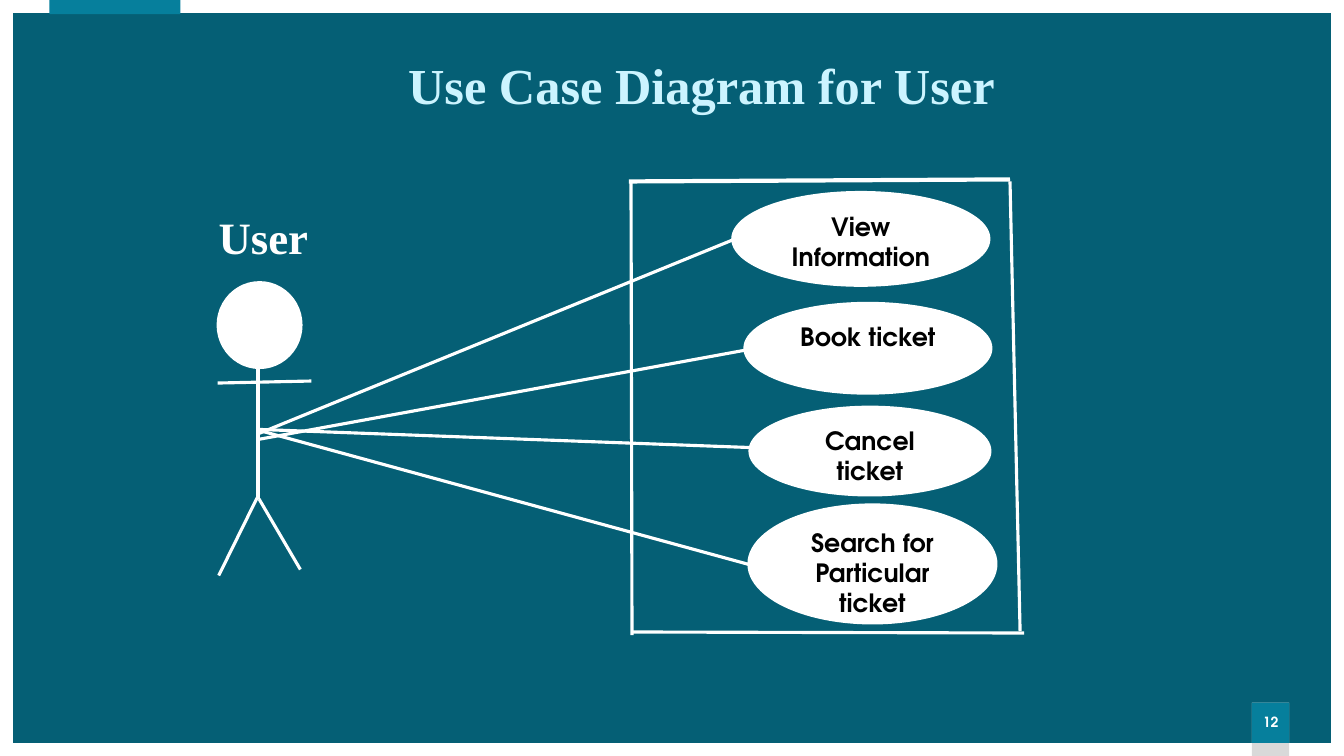
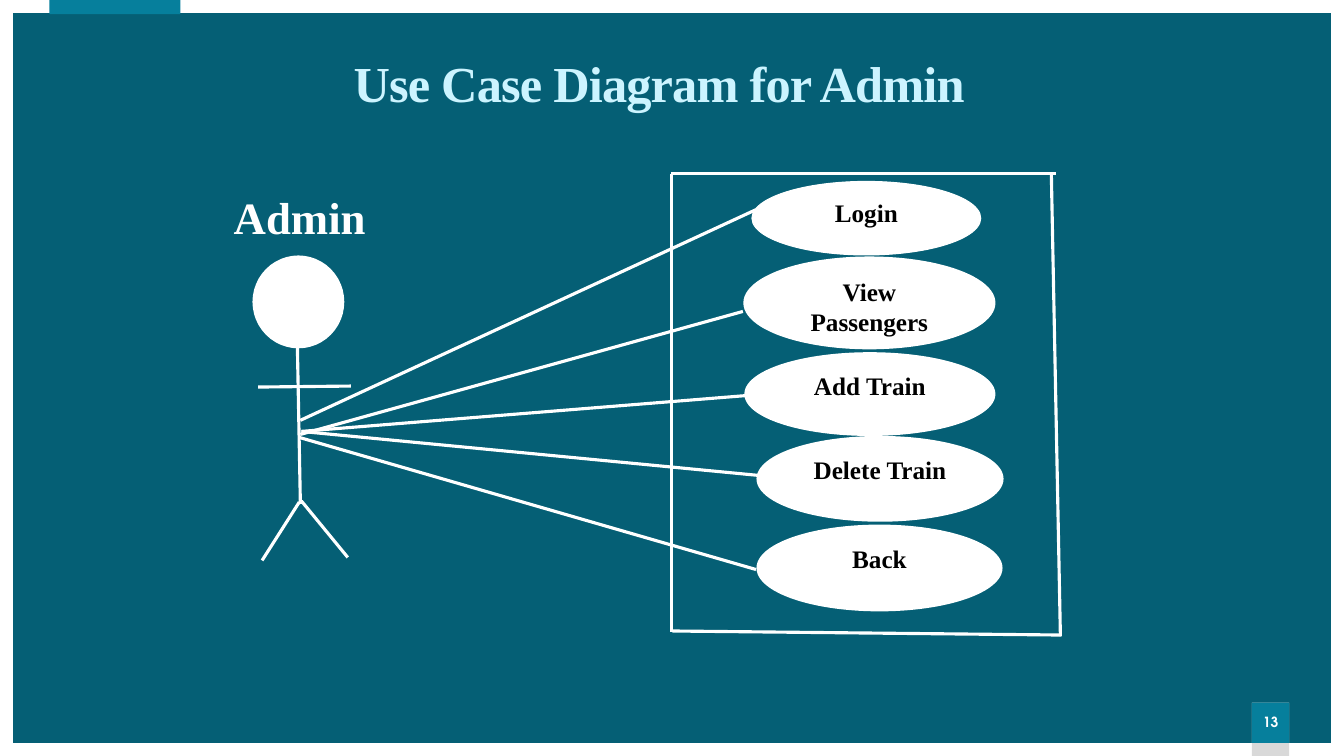
from pptx import Presentation
from pptx.dml.color import RGBColor
from pptx.enum.shapes import MSO_CONNECTOR, MSO_SHAPE
from pptx.enum.text import MSO_ANCHOR, PP_ALIGN
from pptx.oxml.ns import qn
from pptx.util import Inches, Pt

CELL = 0.1
COLUMNS, ROWS = 133.33, 75
COLOURS = {
    "ground": "055F75", "white": "FFFFFF", "accent": "067F9C",
    "grey": "D9D9D9", "title": "CCF4FF", "black": "000000",
}
SERIF, SANS = "Times New Roman", "TeX Gyre Adventor"

DIAGRAMS = [
    {
        "title": "Use Case Diagram for User", "title_box": (39.5, 5.5, 62.3, 6.5),
        "spacing": 0, "number": "12", "font": SANS,
        "actor": "User", "label_box": (20.7, 20.3, 19.8, 6.4),
        "head_box": (21.8, 28.2, 7.9, 8.1), "head_line": 4.5,
        "limbs": [(3.8, 8, 3.8, 21.3), (3.7, 21.2, -0.1, 28.9),
                  (3.9, 21.3, 8, 28.3), (-0.2, 9.8, 9.1, 9.6)],
        "system_at": (62.4, 17.8), "top_line": 3,
        "sides": [(0, 0.2, 37.8, 0), (0.2, 44.9, 39.2, 45),
                  (0.2, 0.2, 0.3, 45.2), (37.8, 0.2, 38.8, 44.8)],
        "cases": [("View Information", (10.3, 1.3, 25.4, 9.2), 2.25),
                  ("Book ticket", (11.5, 12.3, 24.4, 8.9), 2.25),
                  ("Cancel ticket", (12, 22.6, 23.8, 8.7), 2.25),
                  ("Search for Particular ticket", (11.9, 32.3, 24.5, 11.7), 2.25)],
        "links": [(25.7, 43, 72.7, 23.8), (25.6, 43.6, 74.7, 34.6),
                  (25.6, 42.6, 74.4, 44.4), (25.7, 42.7, 74.3, 56)],
    },
    {
        "title": "Use Case Diagram for Admin", "title_box": (34.1, 5.3, 80, 6.5),
        "spacing": -60, "number": "13", "font": SERIF,
        "actor": "Admin", "label_box": (22.2, 18.3, 18.2, 6.4),
        "head_box": (25.2, 25.5, 8.8, 8.9), "head_line": 2.25,
        "limbs": [(4.3, 8.8, 4.6, 24.5), (4.5, 24.3, 0.8, 30.1),
                  (4.7, 24.2, 9.3, 29.8), (0.4, 12.9, 9.6, 12.8)],
        "system_at": (66.6, 17.2), "top_line": 2.25,
        "sides": [(0, 0, 38.2, 0), (0.1, 45.4, 38.7, 45.8),
                  (0, 0.1, 0, 45.5), (37.7, 0.1, 38.6, 45.9)],
        "cases": [("Login", (8, 0.8, 22.7, 7.3), 0.75),
                  ("View Passengers", (7.3, 8.4, 24.7, 8.9), 2.25),
                  ("Add Train", (7.4, 17.9, 24.6, 8), 2.25),
                  ("Delete Train", (8.6, 26.2, 24.2, 8.2), 2.25),
                  ("Back", (8.6, 35, 24.1, 8.3), 2.25)],
        "links": [(29.8, 41.7, 75, 20.8), (29.8, 43.1, 73.7, 30.9),
                  (29.9, 42.8, 74.6, 39.2), (29.9, 42.8, 75.6, 47.2),
                  (29.7, 43.4, 75, 56.5)],
    },
]


def cells(*counts):
    """Turn counts of grid cells into lengths."""
    return [Inches(count * CELL) for count in counts]


def colour(name):
    """Look up a named colour."""
    return RGBColor.from_string(COLOURS[name])


def write(shape, words, font, size, ink, align=PP_ALIGN.LEFT, anchor=MSO_ANCHOR.TOP):
    """Put one bold paragraph into a shape and return it."""
    frame = shape.text_frame
    frame.word_wrap = True
    frame.vertical_anchor = anchor
    para = frame.paragraphs[0]
    para.text = words
    para.alignment = align
    para.font.name, para.font.size, para.font.bold = font, Pt(size), True
    para.font.color.rgb = colour(ink)
    return para


def add_block(page, kind, box, fill, line=None):
    """Draw a filled preset shape, outlined in its own colour if a width is given."""
    block = page.shapes.add_shape(kind, *cells(*box))
    block.shadow.inherit = False
    block.fill.solid()
    block.fill.fore_color.rgb = colour(fill)
    if line:
        block.line.color.rgb = colour(fill)
        block.line.width = Pt(line)
    else:
        block.line.fill.background()
    return block


def add_line(page, ends, origin=(0, 0), width=2.25):
    """Draw a white line whose ends are counted from the origin."""
    left, top = origin
    x1, y1, x2, y2 = ends
    line = page.shapes.add_connector(
        MSO_CONNECTOR.STRAIGHT, *cells(left + x1, top + y1, left + x2, top + y2))
    line.line.color.rgb = colour("white")
    line.line.width = Pt(width)
    properties = line._element.spPr
    properties.append(properties.makeelement(qn("a:effectLst"), {}))


def add_furniture(page, number):
    """Draw the ground, frame, top tab and page number."""
    page.background.fill.solid()
    page.background.fill.fore_color.rgb = colour("ground")
    frame = add_block(page, MSO_SHAPE.FRAME, (0, 0, COLUMNS, ROWS), "white")
    frame.adjustments[0] = 0.017
    add_block(page, MSO_SHAPE.RECTANGLE, (4.9, 0, 13, 1.4), "accent")
    add_block(page, MSO_SHAPE.RECTANGLE, (124.2, 69.7, 3.7, 5.3), "grey")
    badge = add_block(page, MSO_SHAPE.RECTANGLE, (124.2, 69.7, 3.7, 4), "accent")
    badge.text_frame.margin_left = badge.text_frame.margin_right = 0
    para = write(badge, number, SANS, 10, "white", PP_ALIGN.CENTER, MSO_ANCHOR.MIDDLE)
    para.line_spacing = 0.9
    para.space_before = Pt(10)


def add_title(page, words, box, spacing):
    """Write the slide title with its letter spacing."""
    title = page.shapes.add_textbox(*cells(*box))
    para = write(title, words, SERIF, 36, "title", anchor=MSO_ANCHOR.MIDDLE)
    para.line_spacing = 0.9
    if spacing:
        para.runs[0].font._element.set("spc", str(spacing))


def add_actor(page, name, label_box, head_box, head_line, limbs):
    """Draw a stick figure around its head box, with a label above."""
    add_block(page, MSO_SHAPE.FLOWCHART_CONNECTOR, head_box, "white", head_line)
    for limb in limbs:
        add_line(page, limb, head_box[:2])
    label = page.shapes.add_textbox(*cells(*label_box))
    write(label, name, SERIF, 32, "white")


def add_system(page, origin, sides, top_line, cases, font):
    """Draw the system boundary and the use cases inside it."""
    for index, side in enumerate(sides):
        add_line(page, side, origin, 2.25 if index else top_line)
    for words, (left, top, width, height), line in cases:
        box = (origin[0] + left, origin[1] + top, width, height)
        oval = add_block(page, MSO_SHAPE.FLOWCHART_CONNECTOR, box, "white", line)
        write(oval, words, font, 18, "black", PP_ALIGN.CENTER)


def add_diagram(deck, diagram):
    """Build one use case slide."""
    page = deck.slides.add_slide(deck.slide_layouts[6])
    add_furniture(page, diagram["number"])
    add_title(page, diagram["title"], diagram["title_box"], diagram["spacing"])
    add_actor(page, diagram["actor"], diagram["label_box"], diagram["head_box"],
              diagram["head_line"], diagram["limbs"])
    add_system(page, diagram["system_at"], diagram["sides"], diagram["top_line"],
               diagram["cases"], diagram["font"])
    for link in diagram["links"]:
        add_line(page, link)


def main():
    """Build and save the deck."""
    deck = Presentation()
    deck.slide_width, deck.slide_height = cells(COLUMNS, ROWS)
    for diagram in DIAGRAMS:
        add_diagram(deck, diagram)
    deck.save("out.pptx")


if __name__ == "__main__":
    main()
